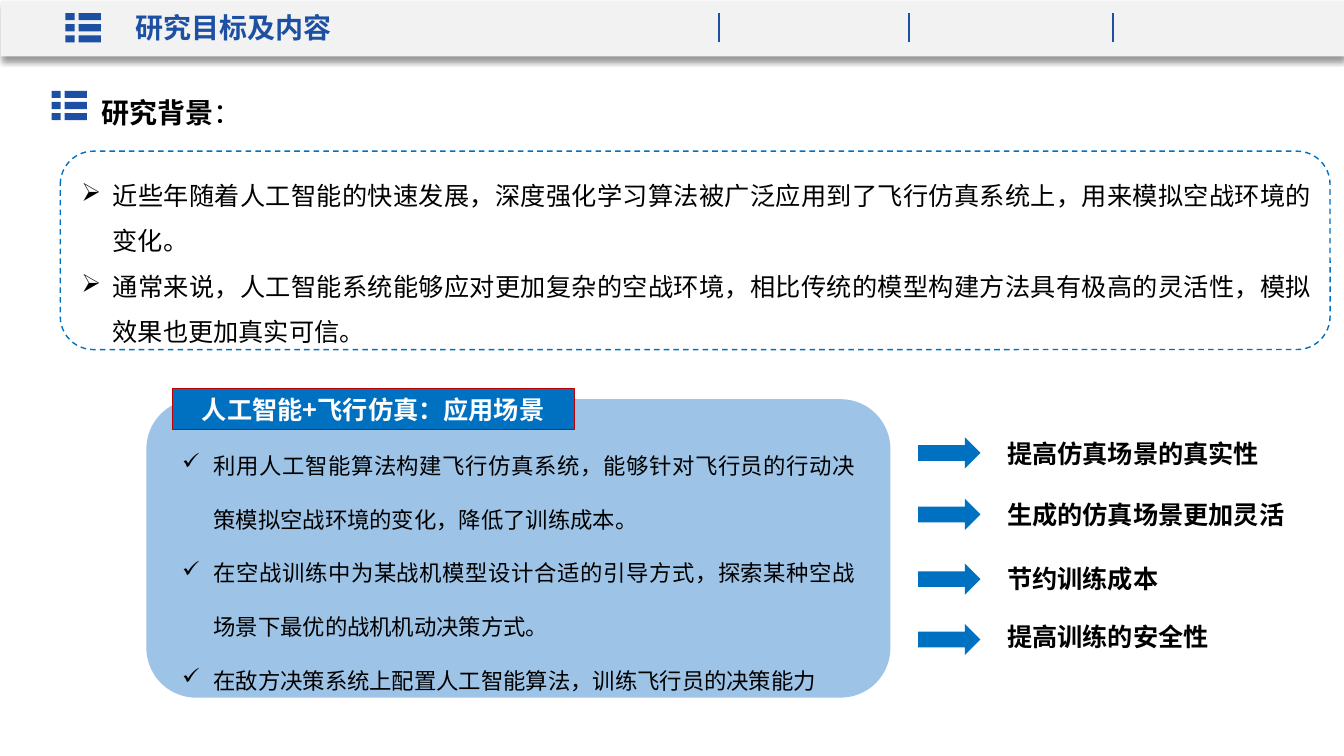
from lxml import etree
from pptx import Presentation
from pptx.dml.color import RGBColor
from pptx.enum.dml import MSO_LINE
from pptx.enum.shapes import MSO_CONNECTOR, MSO_SHAPE
from pptx.enum.text import MSO_ANCHOR, MSO_AUTO_SIZE, PP_ALIGN
from pptx.oxml.ns import qn
from pptx.util import Cm, Pt

RECT, ROUND = MSO_SHAPE.RECTANGLE, MSO_SHAPE.ROUNDED_RECTANGLE
ARROW = MSO_SHAPE.RIGHT_ARROW
STRAIGHT = MSO_CONNECTOR.STRAIGHT
DASH = MSO_LINE.DASH
LEFT, CENTER, JUSTIFY = PP_ALIGN.LEFT, PP_ALIGN.CENTER, PP_ALIGN.JUSTIFY
TOP, MIDDLE = MSO_ANCHOR.TOP, MSO_ANCHOR.MIDDLE
GROW = MSO_AUTO_SIZE.SHAPE_TO_FIT_TEXT

NAVY = RGBColor(0x1D, 0x50, 0xA2)
BLUE = RGBColor(0x00, 0x70, 0xC0)
PALE_BLUE = RGBColor(0x9D, 0xC3, 0xE6)
GREY = RGBColor(0xF2, 0xF2, 0xF2)
RED = RGBColor(0xC0, 0x00, 0x00)
BLACK = RGBColor(0x00, 0x00, 0x00)
WHITE = RGBColor(0xFF, 0xFF, 0xFF)

BACKGROUND = [
    "近些年随着人工智能的快速发展，深度强化学习算法被广泛应用到了飞行仿真系统上，用来模拟空战环境的变化。",
    "通常来说，人工智能系统能够应对更加复杂的空战环境，相比传统的模型构建方法具有极高的灵活性，模拟效果也更加真实可信。",
]
SCENARIOS = [
    "利用人工智能算法构建飞行仿真系统，能够针对飞行员的行动决策模拟空战环境的变化，降低了训练成本。",
    "在空战训练中为某战机模型设计合适的引导方式，探索某种空战场景下最优的战机机动决策方式。",
    "在敌方决策系统上配置人工智能算法，训练飞行员的决策能力",
]
# Arrow top, label top, label
BENEFITS = [
    (11.02, 10.92, "提高仿真场景的真实性"),
    (12.57, 12.45, "生成的仿真场景更加灵活"),
    (14.2, 14.07, "节约训练成本"),
    (15.72, 15.52, "提高训练的安全性"),
]


class SlideBuilder:
    font = "Noto Sans CJK SC"

    def __init__(self, s):
        self.s = s

    def shape(self, kind, x, y, w, h, fill=None, line=None, weight=1, dash=None):
        sp = self.s.shapes.add_shape(kind, Cm(x), Cm(y), Cm(w), Cm(h))
        sp.shadow.inherit = False
        if fill is None:
            sp.fill.background()
        else:
            sp.fill.solid()
            sp.fill.fore_color.rgb = fill
        if line is None:
            sp.line.fill.background()
        else:
            sp.line.color.rgb = line
            sp.line.width = Pt(weight)
            if dash is not None:
                sp.line.dash_style = dash
        return sp

    def drop_shadow(self, sp):
        effects = sp._element.spPr.find(qn("a:effectLst"))
        shadow = etree.SubElement(effects, qn("a:outerShdw"), blurRad=str(Pt(4)),
                                  dist=str(Pt(3)), dir="5400000", rotWithShape="0")
        color = etree.SubElement(shadow, qn("a:srgbClr"), val=str(BLACK))
        etree.SubElement(color, qn("a:alpha"), val="40000")

    def fill_text(self, sp, paragraphs, size, color=BLACK, align=LEFT, spacing=None,
                  bullet=None, wrap=True, anchor=TOP):
        """Fill sp with paragraphs, each a list of (text, bold) runs."""
        tf = sp.text_frame
        tf.word_wrap = wrap
        tf.auto_size = GROW
        tf.vertical_anchor = anchor
        for i, runs in enumerate(paragraphs):
            p = tf.add_paragraph() if i else tf.paragraphs[0]
            p.alignment = align
            if spacing:
                p.line_spacing = spacing
            if bullet:
                pPr = p._p.get_or_add_pPr()
                pPr.set("marL", str(Cm(0.79)))
                pPr.set("indent", str(-Cm(0.79)))
                etree.SubElement(pPr, qn("a:buChar"), char=bullet)
            for text, bold in runs:
                r = p.add_run()
                r.text = text
                r.font.size = Pt(size)
                r.font.bold = bold
                r.font.color.rgb = color
                r.font.name = self.font
                etree.SubElement(r._r.get_or_add_rPr(), qn("a:ea"), typeface=self.font)

    def text(self, x, y, w, h, paragraphs, size, **style):
        sp = self.s.shapes.add_textbox(Cm(x), Cm(y), Cm(w), Cm(h))
        self.fill_text(sp, paragraphs, size, **style)

    def bullets(self, x, y, w, h, items, size, bullet, spacing):
        self.text(x, y, w, h, [[(item, False)] for item in items], size,
                  align=JUSTIFY, spacing=spacing, bullet=bullet)

    def list_icon(self, x, y):
        """Three rows of a small and a wide block, drawn in hundredths of a cm."""
        fb = self.s.shapes.build_freeform(0, 0, scale=Cm(0.01))
        for top in (0, 28, 56):
            for left, right in ((0, 23), (33, 89)):
                fb.move_to(left, top)
                fb.add_line_segments([(right, top), (right, top + 18), (left, top + 18)])
        sp = fb.convert_to_shape(Cm(x), Cm(y))
        sp.shadow.inherit = False
        sp.fill.solid()
        sp.fill.fore_color.rgb = NAVY
        sp.line.fill.background()

    def divider(self, x, top, bottom):
        c = self.s.shapes.add_connector(STRAIGHT, Cm(x), Cm(top), Cm(x), Cm(bottom))
        c.line.color.rgb = NAVY
        c.line.width = Pt(1.5)
        etree.SubElement(c._element.spPr, qn("a:effectLst"))


def main():
    prs = Presentation()
    prs.slide_width, prs.slide_height = Cm(33.87), Cm(19.05)
    b = SlideBuilder(prs.slides.add_slide(prs.slide_layouts[6]))

    b.shape(ROUND, 3.69, 10.06, 18.75, 7.52, fill=PALE_BLUE)

    header = b.shape(RECT, 0.02, 0.02, 33.85, 1.4, fill=GREY)
    b.drop_shadow(header)
    b.text(3.17, 0.15, 9.37, 1.11, [[("研究目标及内容", True)]], 20, color=NAVY)
    b.list_icon(1.65, 0.33)
    for x in (18.11, 22.91, 28.04):
        b.divider(x, 0.33, 1.07)

    b.list_icon(1.3, 2.29)
    b.text(2.31, 1.85, 20.45, 1.4, [[("研究背景", True), ("：", False)]], 20,
           align=JUSTIFY, spacing=1.5)
    b.bullets(1.8, 4.04, 31.5, 4.75, BACKGROUND, 18, "➢", 1.5)
    b.shape(ROUND, 1.52, 3.81, 32, 5, line=BLUE, dash=DASH)

    b.bullets(4.34, 10.59, 17.48, 6.96, SCENARIOS, 16, "✓", 2.0)
    heading = b.shape(RECT, 4.34, 9.8, 10.13, 1.02, fill=BLUE, line=RED, weight=0.75)
    b.fill_text(heading, [[("人工智能+飞行仿真：应用场景", True)]], 18, color=WHITE,
                align=CENTER, anchor=MIDDLE)

    for arrow_top, label_top, label in BENEFITS:
        b.shape(ARROW, 23.14, arrow_top, 1.57, 0.79, fill=BLUE)
        b.text(25.13, label_top, 0.56 + 0.64 * len(label), 1.02, [[(label, True)]], 18,
               wrap=False)

    prs.save("out.pptx")


if __name__ == "__main__":
    main()
